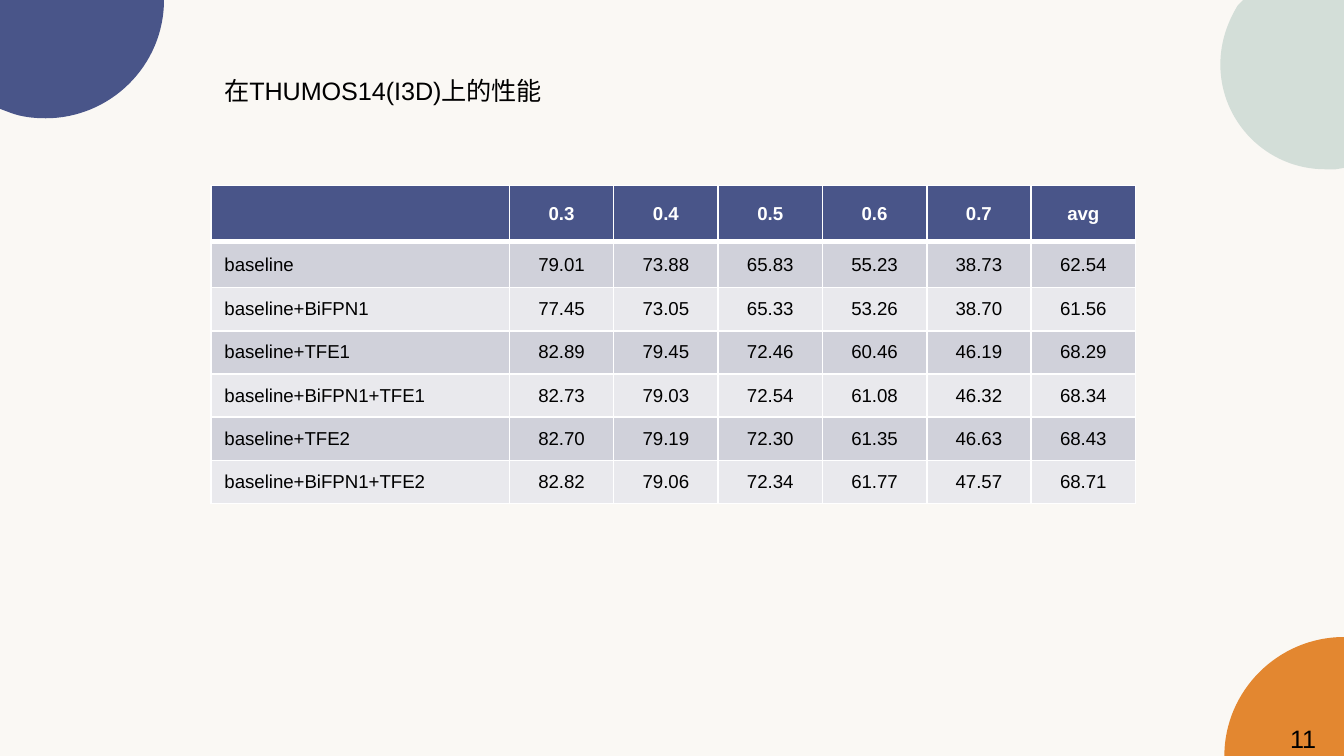
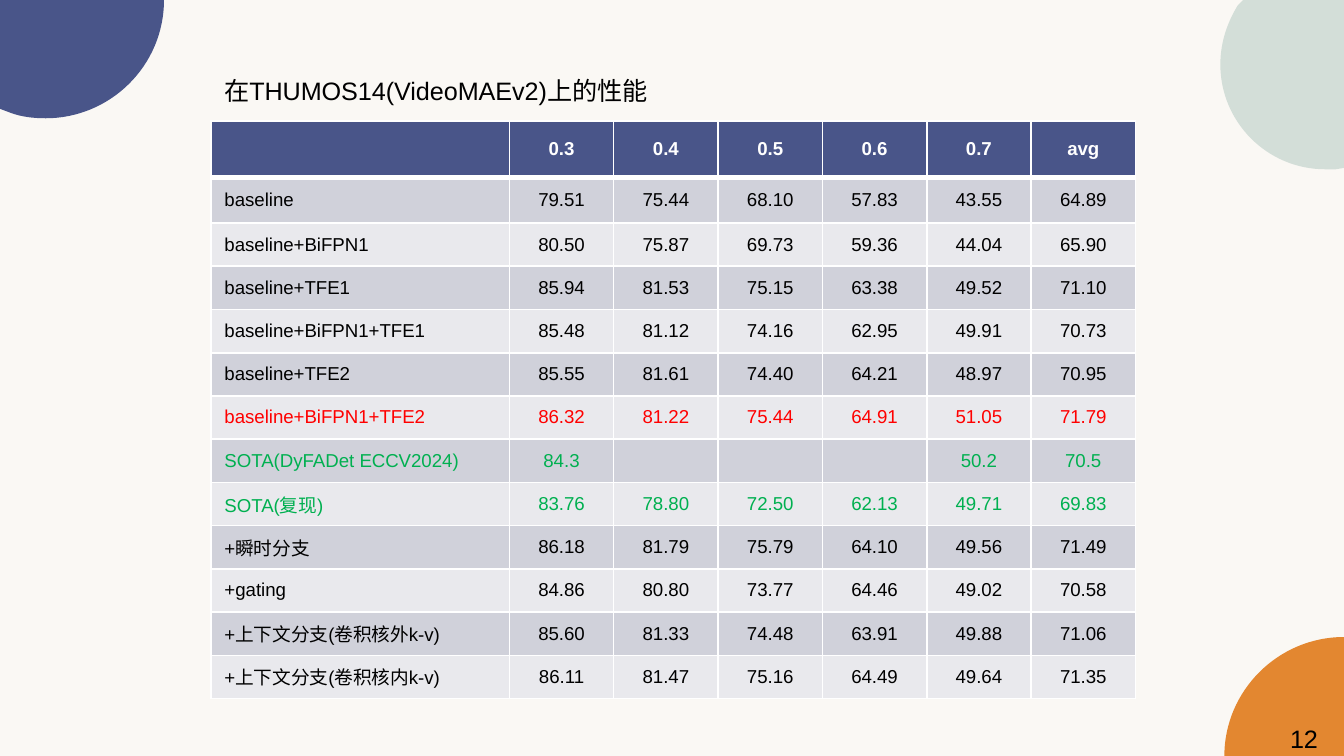
from lxml.etree import SubElement
from pptx import Presentation
from pptx.dml.color import RGBColor
from pptx.enum.text import MSO_ANCHOR, MSO_AUTO_SIZE, PP_ALIGN
from pptx.oxml.ns import qn
from pptx.util import Inches, Pt

WIDTH, HEIGHT = 10, 10 * 9 / 16
FONT = "Arial"
COLORS = {
    "paper": "FAF8F4", "navy": "495589", "orange": "E38730", "mint": "D3DED8",
    "band_dark": "D0D1DA", "band_light": "E9E9ED", "white": "FFFFFF",
    "black": "000000", "red": "FF0000", "green": "00B050",
}
CORNERS = [
    ("navy", [
        [(0, 0)],
        [(1.22, 0)],
        [(1.22, 0.49), (0.82, 0.88), (0.34, 0.88)],
        [(0.25, 0.88), (0.16, 0.87), (0.08, 0.84)],
        [(0, 0.81)],
    ]),
    ("orange", [
        [(WIDTH, 4.74)],
        [(9.51, 4.74), (9.11, 5.14), (9.11, HEIGHT)],
        [(WIDTH, HEIGHT)],
    ]),
    ("mint", [
        [(9.25, 0)],
        [(WIDTH, 0)],
        [(WIDTH, 1.25)],
        [(9.94, 1.26)],
        [(9.92, 1.26), (9.89, 1.26), (9.86, 1.26)],
        [(9.43, 1.26), (9.08, 0.91), (9.08, 0.48)],
        [(9.08, 0.32), (9.13, 0.17), (9.21, 0.04)],
    ]),
]
HEADER = ["", "0.3", "0.4", "0.5", "0.6", "0.7", "avg"]
TABLE_WIDTH, LABEL_WIDTH = 6.88, 2.22
VALUE_WIDTH = (TABLE_WIDTH - LABEL_WIDTH) / 6
HEADER_HEIGHT, FIRST_HEIGHT = 0.42, 0.34
ROW_HEIGHT = (4.3 - HEADER_HEIGHT - FIRST_HEIGHT) / 11

I3D_ROWS = [
    ("baseline", "79.01|73.88|65.83|55.23|38.73|62.54", "black"),
    ("baseline+BiFPN1", "77.45|73.05|65.33|53.26|38.70|61.56", "black"),
    ("baseline+TFE1", "82.89|79.45|72.46|60.46|46.19|68.29", "black"),
    ("baseline+BiFPN1+TFE1", "82.73|79.03|72.54|61.08|46.32|68.34", "black"),
    ("baseline+TFE2", "82.70|79.19|72.30|61.35|46.63|68.43", "black"),
    ("baseline+BiFPN1+TFE2", "82.82|79.06|72.34|61.77|47.57|68.71", "black"),
]
VIDEOMAE_ROWS = [
    ("baseline", "79.51|75.44|68.10|57.83|43.55|64.89", "black"),
    ("baseline+BiFPN1", "80.50|75.87|69.73|59.36|44.04|65.90", "black"),
    ("baseline+TFE1", "85.94|81.53|75.15|63.38|49.52|71.10", "black"),
    ("baseline+BiFPN1+TFE1", "85.48|81.12|74.16|62.95|49.91|70.73", "black"),
    ("baseline+TFE2", "85.55|81.61|74.40|64.21|48.97|70.95", "black"),
    ("baseline+BiFPN1+TFE2", "86.32|81.22|75.44|64.91|51.05|71.79", "red"),
    ("SOTA(DyFADet ECCV2024)", "84.3||||50.2|70.5", "green"),
    ("SOTA(复现)", "83.76|78.80|72.50|62.13|49.71|69.83", "green"),
    ("+瞬时分支", "86.18|81.79|75.79|64.10|49.56|71.49", "black"),
    ("+gating", "84.86|80.80|73.77|64.46|49.02|70.58", "black"),
    ("+上下文分支(卷积核外k-v)", "85.60|81.33|74.48|63.91|49.88|71.06", "black"),
    ("+上下文分支(卷积核内k-v)", "86.11|81.47|75.16|64.49|49.64|71.35", "black"),
]


def rgb(name):
    return RGBColor.from_string(COLORS[name])


def write(tf, text, size=13.5, color="black", bold=False, align=PP_ALIGN.LEFT):
    p = tf.paragraphs[0]
    p.alignment = align
    if not text:
        SubElement(p._p, qn("a:endParaRPr"), sz=str(int(size * 100)))
        return
    r = p.add_run()
    r.text = text
    r.font.name = FONT
    r.font.size = Pt(size)
    r.font.bold = bold
    r.font.color.rgb = rgb(color)


def add_text(s, box, text):
    tf = s.shapes.add_textbox(*map(Inches, box)).text_frame
    tf.word_wrap = True
    tf.auto_size = MSO_AUTO_SIZE.SHAPE_TO_FIT_TEXT
    write(tf, text)


def add_corner(s, color, segments):
    points = [(Inches(x), Inches(y)) for segment in segments for x, y in segment]
    builder = s.shapes.build_freeform(*points[0])
    builder.add_line_segments(points[1:], close=True)
    sp = builder.convert_to_shape()
    sp.shadow.inherit = False
    sp.fill.solid()
    sp.fill.fore_color.rgb = rgb(color)
    sp.line.fill.background()
    outline = next(sp._element.iter(qn("a:path")))
    steps = iter(outline.findall(qn("a:lnTo")))
    for segment in segments[1:]:
        lines = [next(steps) for _ in segment]
        if len(lines) == 3:
            curve = SubElement(outline, qn("a:cubicBezTo"))
            lines[0].addprevious(curve)
            for line in lines:
                curve.append(line[0])
                outline.remove(line)


def set_borders(cell, top=1, bottom=1):
    tcPr = cell._tc.get_or_add_tcPr()
    for side, width in (("L", 1), ("R", 1), ("T", top), ("B", bottom)):
        ln = SubElement(tcPr, qn(f"a:ln{side}"), w=str(Pt(width)))
        fill = SubElement(ln, qn("a:solidFill"))
        SubElement(fill, qn("a:srgbClr"), val=COLORS["white"])


def add_results(s, box, results):
    rows = [(HEADER, "white")]
    rows += [([label, *values.split("|")], color) for label, values, color in results]
    heights = [HEADER_HEIGHT, FIRST_HEIGHT] + [ROW_HEIGHT] * (len(results) - 1)
    frame = s.shapes.add_table(len(rows), len(HEADER), *map(Inches, box))
    table = frame.table
    for j, column in enumerate(table.columns):
        column.width = Inches(VALUE_WIDTH if j else LABEL_WIDTH)
    for i, (texts, color) in enumerate(rows):
        table.rows[i].height = Inches(heights[i])
        band = "navy" if i == 0 else "band_dark" if i % 2 else "band_light"
        for j, text in enumerate(texts):
            cell = table.cell(i, j)
            set_borders(cell, top=3 if i == 1 else 1, bottom=3 if i == 0 else 1)
            cell.fill.solid()
            cell.fill.fore_color.rgb = rgb(band)
            cell.vertical_anchor = MSO_ANCHOR.MIDDLE
            write(cell.text_frame, text, size=10, color=color, bold=i == 0,
                  align=PP_ALIGN.CENTER if j else PP_ALIGN.LEFT)
    frame.height = Inches(box[3])


def add_results_slide(prs, number, title, title_width, top, height, results):
    s = prs.slides.add_slide(prs.slide_layouts[6])
    s.background.fill.solid()
    s.background.fill.fore_color.rgb = rgb("paper")
    for color, segments in CORNERS:
        add_corner(s, color, segments)
    add_results(s, (1.57, top, TABLE_WIDTH, height), results)
    add_text(s, (1.57, 0.51, title_width, 0.33), title)
    add_text(s, (9.5, 5.33, 0.45, 0.33), str(number))


def main():
    prs = Presentation()
    prs.slide_width = Inches(WIDTH)
    prs.slide_height = Inches(HEIGHT)
    add_results_slide(prs, 11, "在THUMOS14(I3D)上的性能", 3.33, 1.38, 2.69, I3D_ROWS)
    add_results_slide(prs, 12, "在THUMOS14(VideoMAEv2)上的性能", 3.6, 0.9, 4.3, VIDEOMAE_ROWS)
    prs.save("out.pptx")


if __name__ == "__main__":
    main()
